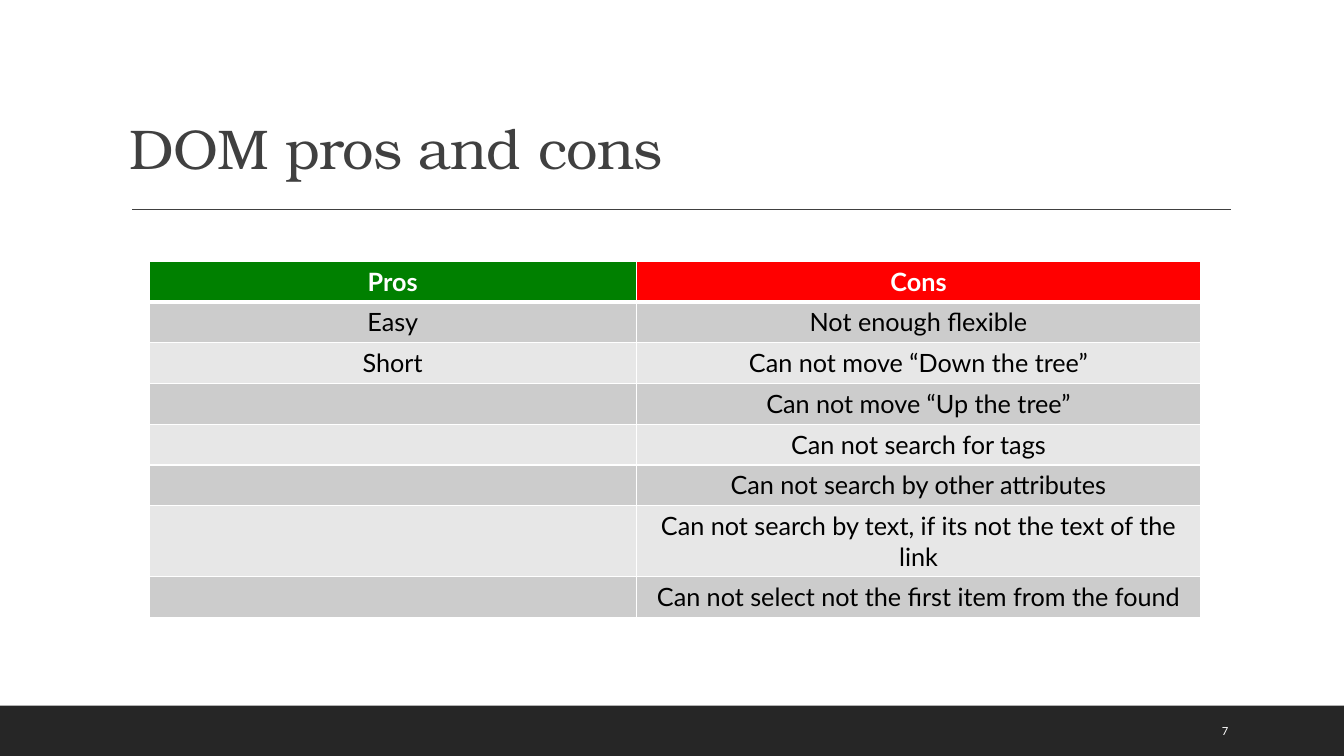
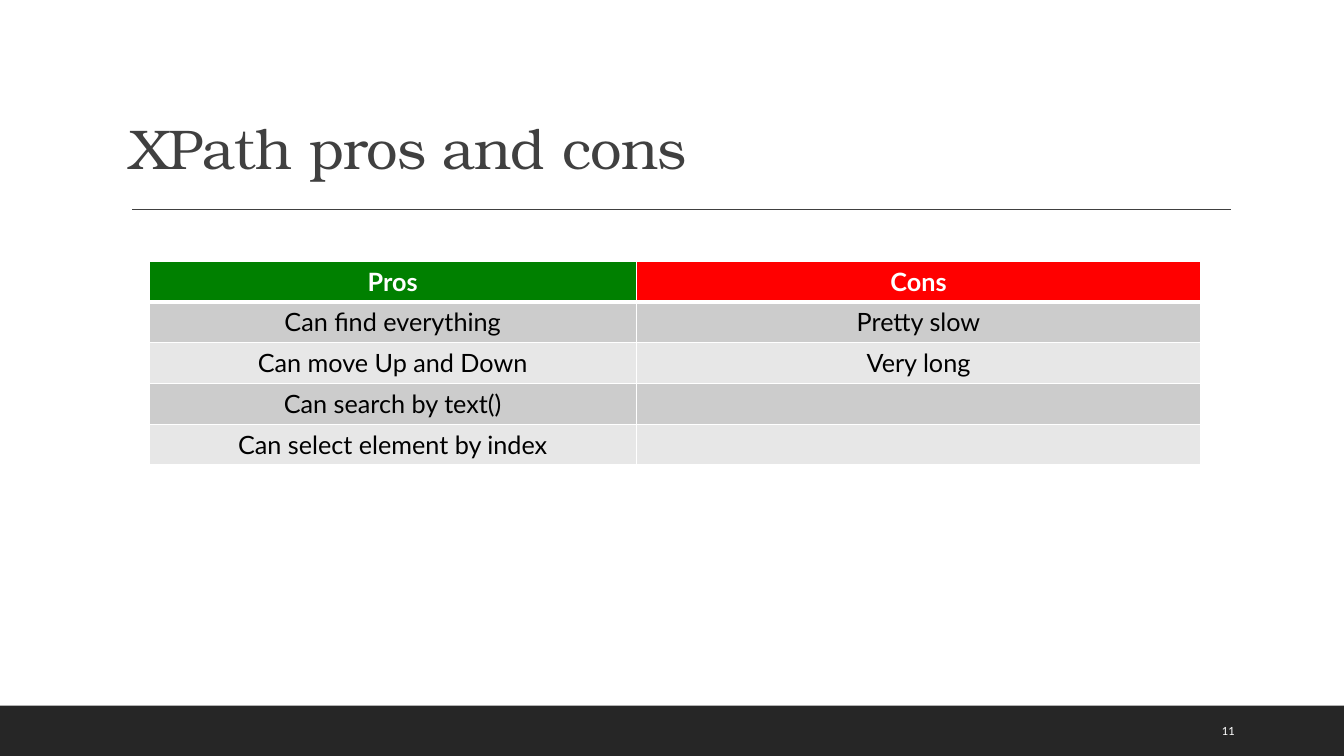
"""Build two slides that compare the pros and cons of DOM and XPath locators."""
from pptx import Presentation, util as u
from pptx.dml.color import RGBColor
from pptx.enum import shapes, text
from pptx.oxml import parse_xml
from pptx.oxml.ns import nsdecls, qn

SLIDES = [
    {
        "title": "DOM pros and cons",
        "number": 7,
        "rows": [
            ("Easy", "Not enough flexible"),
            ("Short", "Can not move “Down the tree”"),
            ("", "Can not move “Up the tree”"),
            ("", "Can not search for tags"),
            ("", "Can not search by other attributes"),
            ("", "Can not search by text, if its not the text of the link"),
            ("", "Can not select not the first item from the found"),
        ],
    },
    {
        "title": "XPath pros and cons",
        "number": 11,
        "rows": [
            ("Can find everything", "Pretty slow"),
            ("Can move Up and Down", "Very long"),
            ("Can search by text()", ""),
            ("Can select element by index", ""),
        ],
    },
]
HEADERS = ("Pros", "Cons")
HEADER_FILLS = ("008000", "FF0000")
BAND_FILLS = ("CCCCCC", "E7E7E7")
COLUMN_WIDTHS = (4.83, 5.6)
ROW_HEIGHT = 0.405
WHITE, BLACK, GREY, DARK = "FFFFFF", "000000", "404040", "262626"
BODY_FONT, TITLE_FONT = "Lato", "TeX Gyre Bonum"
SLIDE_WIDTH, SLIDE_HEIGHT, FOOTER_TOP = 13.33, 7.5, 7


def color(value):
    return RGBColor.from_string(value)


def inches(*values):
    return [u.Inches(value) for value in values]


def write(frame, content, size=18, font=BODY_FONT, fill=BLACK, bold=False,
          align=text.PP_ALIGN.LEFT, line_spacing=None):
    paragraph = frame.paragraphs[0]
    paragraph.alignment = align
    paragraph.line_spacing = line_spacing
    run = paragraph.add_run()
    run.text = content
    run.font.size = u.Pt(size)
    run.font.name = font
    run.font.bold = bold
    run.font.color.rgb = color(fill)


def add_title(slide, content):
    title = slide.shapes.title
    title.left, title.top, title.width, title.height = inches(1.18, 0.26, 11.41, 1.59)
    frame = title.text_frame
    frame.auto_size = text.MSO_AUTO_SIZE.NONE
    frame.vertical_anchor = text.MSO_ANCHOR.BOTTOM
    write(frame, content, size=40, font=TITLE_FONT, fill=GREY, line_spacing=0.9)
    for properties in title.element.iter(qn("a:rPr")):
        properties.set("spc", "-50")


def add_frame(slide, number):
    band = slide.shapes.add_shape(
        shapes.MSO_SHAPE.RECTANGLE,
        *inches(0, FOOTER_TOP, SLIDE_WIDTH, SLIDE_HEIGHT - FOOTER_TOP))
    band.shadow.inherit = False
    band.fill.solid()
    band.fill.fore_color.rgb = color(DARK)
    band.line.fill.background()

    rule = slide.shapes.add_connector(
        shapes.MSO_CONNECTOR.STRAIGHT, *inches(1.31, 2.08, 12.21, 2.08))
    rule.line.color.rgb = color(GREY)
    rule.line.width = u.Pt(1)
    rule.element.spPr.append(parse_xml(f"<a:effectLst {nsdecls('a')}/>"))

    box = slide.shapes.add_textbox(*inches(12.02, 7.05, 0.85, 0.4))
    box.text_frame.word_wrap = True
    box.text_frame.vertical_anchor = text.MSO_ANCHOR.MIDDLE
    write(box.text_frame, str(number), size=8, fill=WHITE)


def set_borders(cell, top=1, bottom=1):
    properties = cell._tc.get_or_add_tcPr()
    for side, width in (("L", 1), ("R", 1), ("T", top), ("B", bottom)):
        properties.append(parse_xml(
            f'<a:ln{side} {nsdecls("a")} w="{u.Pt(width)}"><a:solidFill>'
            f'<a:srgbClr val="{WHITE}"/></a:solidFill></a:ln{side}>'))


def add_comparison(slide, rows):
    cells = [HEADERS, *rows]
    table = slide.shapes.add_table(
        len(cells), len(HEADERS),
        *inches(1.48, 2.59, sum(COLUMN_WIDTHS), ROW_HEIGHT * len(cells))).table
    table.horz_banding = False
    for column, width in zip(table.columns, COLUMN_WIDTHS):
        column.width = u.Inches(width)
    for row_index, row in enumerate(cells):
        header = row_index == 0
        for column_index, content in enumerate(row):
            cell = table.cell(row_index, column_index)
            set_borders(cell, top=3 if row_index == 1 else 1, bottom=3 if header else 1)
            cell.fill.solid()
            cell.fill.fore_color.rgb = color(
                HEADER_FILLS[column_index] if header else BAND_FILLS[(row_index - 1) % 2])
            if content:
                write(cell.text_frame, content, fill=WHITE if header else BLACK,
                      bold=header, align=text.PP_ALIGN.CENTER)


def main():
    presentation = Presentation()
    presentation.slide_width, presentation.slide_height = inches(SLIDE_WIDTH, SLIDE_HEIGHT)
    for content in SLIDES:
        slide = presentation.slides.add_slide(presentation.slide_layouts[5])
        add_frame(slide, content["number"])
        add_title(slide, content["title"])
        add_comparison(slide, content["rows"])
    presentation.save("out.pptx")


if __name__ == "__main__":
    main()
